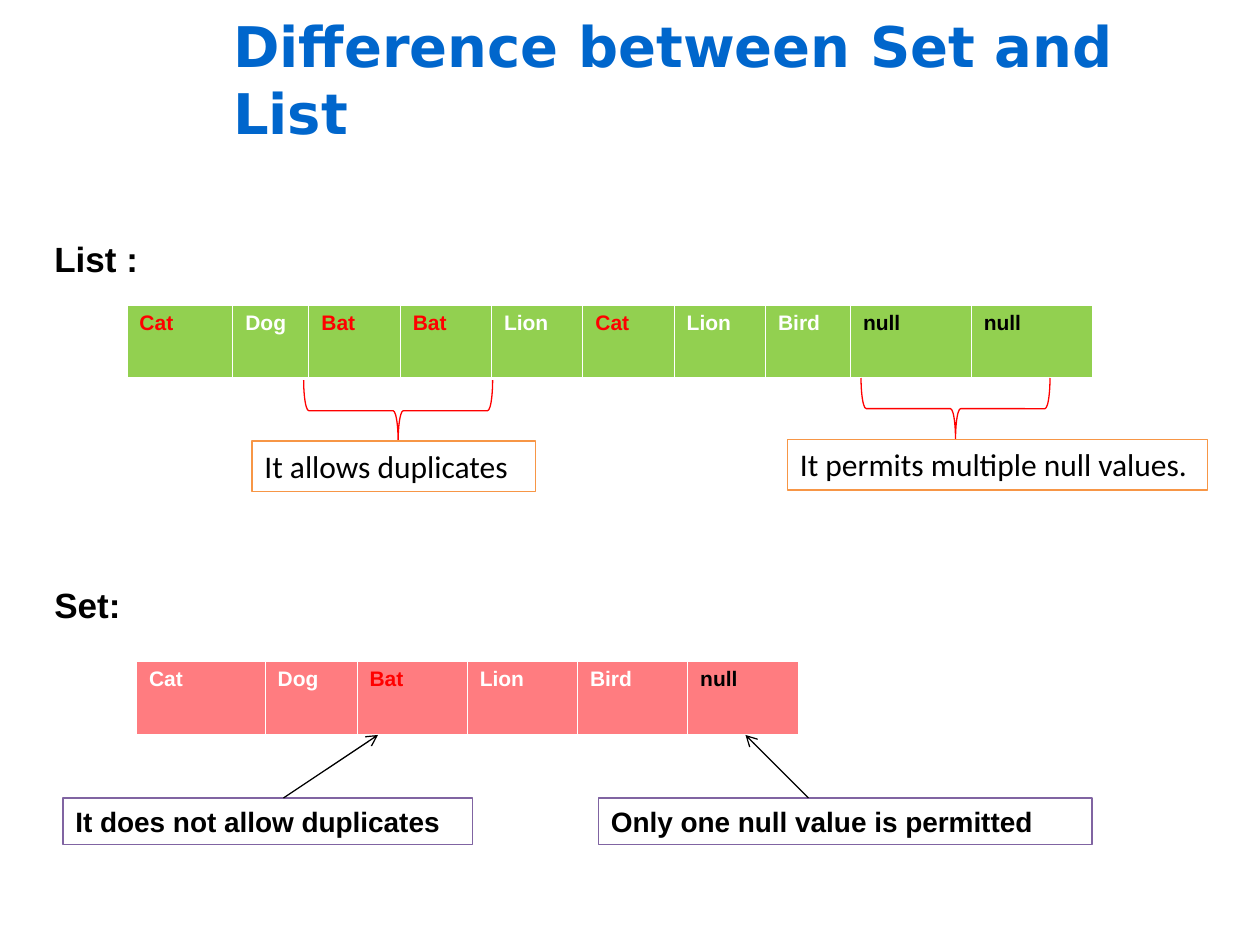
"""Build a slide that contrasts how a List and a Set treat duplicates and nulls."""
from dataclasses import dataclass

from lxml import etree
from pptx import Presentation
from pptx.dml.color import RGBColor
from pptx.enum import shapes, text
from pptx.oxml import ns
from pptx.util import Pt

RED, WHITE, BLACK = "FF0000", "FFFFFF", "000000"
GREEN, PINK, ORANGE, PURPLE = "92D050", "FF7C80", "F79646", "8064A2"
ROW_HEIGHT = 42


@dataclass(frozen=True)
class Collection:
    left: float
    top: float
    fill: str
    widths: list[float]
    items: list[tuple[str, str]]


@dataclass(frozen=True)
class Note:
    left: float
    top: float
    width: float
    height: float
    wording: str
    border: str
    font: str
    size: float
    bold: bool


@dataclass(frozen=True)
class Heading:
    top: float
    wording: str


@dataclass(frozen=True)
class Brace:
    left: float
    top: float


@dataclass(frozen=True)
class Arrow:
    start: tuple[float, float]
    end: tuple[float, float]


COLLECTIONS = [
    Collection(72.5, 174.24, GREEN, [60.5, 43.5] + [52.2] * 6,
               [("Cat", RED), ("Dog", WHITE), ("Bat", RED), ("Bat", RED),
                ("Lion", WHITE), ("Cat", RED), ("Lion", WHITE), ("Bird", WHITE)]),
    Collection(78, 378, PINK, [73.5, 52.5] + [63] * 4,
               [("Cat", WHITE), ("Dog", WHITE), ("Bat", RED), ("Lion", WHITE),
                ("Bird", WHITE), ("null", BLACK)]),
    Collection(486, 174.24, GREEN, [69] * 2, [("null", BLACK)] * 2),
]
HEADINGS = [Heading(132, "List :"), Heading(330, "Set:")]
BRACES = [Brace(210, 180.7), Brace(528.5, 179.5)]
NOTES = [
    Note(144, 252, 162, 29, "It allows duplicates", ORANGE, "Calibri", 18, False),
    Note(450, 251, 240, 29, "It permits multiple null values.", ORANGE, "Calibri", 18, False),
    Note(36, 456, 234, 26.5, "It does not allow duplicates", PURPLE, "Arial", 16, True),
    Note(342, 456, 282, 26.5, "Only one null value is permitted", PURPLE, "Arial", 16, True),
]
ARROWS = [Arrow((162, 456), (216, 420)), Arrow((462, 456), (426, 420))]


def rgb(value: str) -> RGBColor:
    return RGBColor.from_string(value)


def write(frame, wording: str, font: str, size: float, color: str, bold: bool) -> None:
    paragraph = frame.paragraphs[0]
    paragraph.alignment = text.PP_ALIGN.LEFT
    run = paragraph.add_run()
    run.text = wording
    run.font.name, run.font.size, run.font.bold = font, Pt(size), bold
    run.font.color.rgb = rgb(color)


def add_borders(cell) -> None:
    properties = cell._tc.get_or_add_tcPr()
    edges = [("lnL", 0.45), ("lnR", 0.45), ("lnT", 0.45), ("lnB", 1.47)]
    for position, (edge, width) in enumerate(edges):
        border = etree.Element(ns.qn(f"a:{edge}"), w=str(int(Pt(width))))
        fill = etree.SubElement(border, ns.qn("a:solidFill"))
        etree.SubElement(fill, ns.qn("a:srgbClr"), val=WHITE)
        properties.insert(position, border)


def draw_collection(slide, collection: Collection) -> None:
    table = slide.shapes.add_table(
        1, len(collection.items), Pt(collection.left), Pt(collection.top),
        Pt(sum(collection.widths)), Pt(ROW_HEIGHT)).table
    for index, (item, color) in enumerate(collection.items):
        table.columns[index].width = Pt(collection.widths[index])
        cell = table.cell(0, index)
        cell.fill.solid()
        cell.fill.fore_color.rgb = rgb(collection.fill)
        write(cell.text_frame, item, "Arial", 12, color, True)
        add_borders(cell)


def draw_heading(slide, heading: Heading) -> None:
    frame = slide.shapes.add_textbox(Pt(24), Pt(heading.top), Pt(102), Pt(31.5)).text_frame
    frame.word_wrap = True
    write(frame, heading.wording, "Arial", 20, BLACK, True)


def draw_brace(slide, brace: Brace) -> None:
    bracket = slide.shapes.add_shape(
        shapes.MSO_SHAPE.RIGHT_BRACE, Pt(brace.left), Pt(brace.top), Pt(35), Pt(108))
    bracket.rotation = 90
    bracket.shadow.inherit = False
    bracket.fill.background()
    bracket.line.color.rgb = rgb(RED)
    bracket.line.width = Pt(0.75)


def draw_note(slide, note: Note) -> None:
    box = slide.shapes.add_shape(
        shapes.MSO_SHAPE.RECTANGLE, Pt(note.left), Pt(note.top), Pt(note.width), Pt(note.height))
    box.shadow.inherit = False
    box.fill.solid()
    box.fill.fore_color.rgb = rgb(WHITE)
    box.line.color.rgb = rgb(note.border)
    box.line.width = Pt(0.75)
    frame = box.text_frame
    frame.word_wrap = True
    frame.auto_size = text.MSO_AUTO_SIZE.SHAPE_TO_FIT_TEXT
    frame.vertical_anchor = text.MSO_ANCHOR.TOP
    write(frame, note.wording, note.font, note.size, BLACK, note.bold)


def draw_arrow(slide, arrow: Arrow) -> None:
    connector = slide.shapes.add_connector(
        shapes.MSO_CONNECTOR.STRAIGHT, *map(Pt, arrow.start + arrow.end))
    connector.line.color.rgb = rgb(BLACK)
    connector.line.width = Pt(0.75)
    properties = connector._element.spPr
    etree.SubElement(properties.find(ns.qn("a:ln")), ns.qn("a:tailEnd"), type="arrow")
    etree.SubElement(properties, ns.qn("a:effectLst"))


def draw_title(slide) -> None:
    title = slide.shapes.title
    title.left, title.top, title.width, title.height = Pt(126), Pt(0), Pt(594), Pt(90)
    frame = title.text_frame
    frame.auto_size = text.MSO_AUTO_SIZE.NONE
    frame.vertical_anchor = text.MSO_ANCHOR.MIDDLE
    write(frame, "Difference between Set and List", "DejaVu Sans", 32, "0066CC", True)


def main() -> None:
    presentation = Presentation()
    presentation.slide_width, presentation.slide_height = Pt(720), Pt(540)
    slide = presentation.slides.add_slide(presentation.slide_layouts.get_by_name("Title Only"))
    draw_title(slide)
    for draw, parts in [(draw_collection, COLLECTIONS), (draw_heading, HEADINGS),
                        (draw_brace, BRACES), (draw_note, NOTES), (draw_arrow, ARROWS)]:
        for part in parts:
            draw(slide, part)
    presentation.save("out.pptx")


if __name__ == "__main__":
    main()
